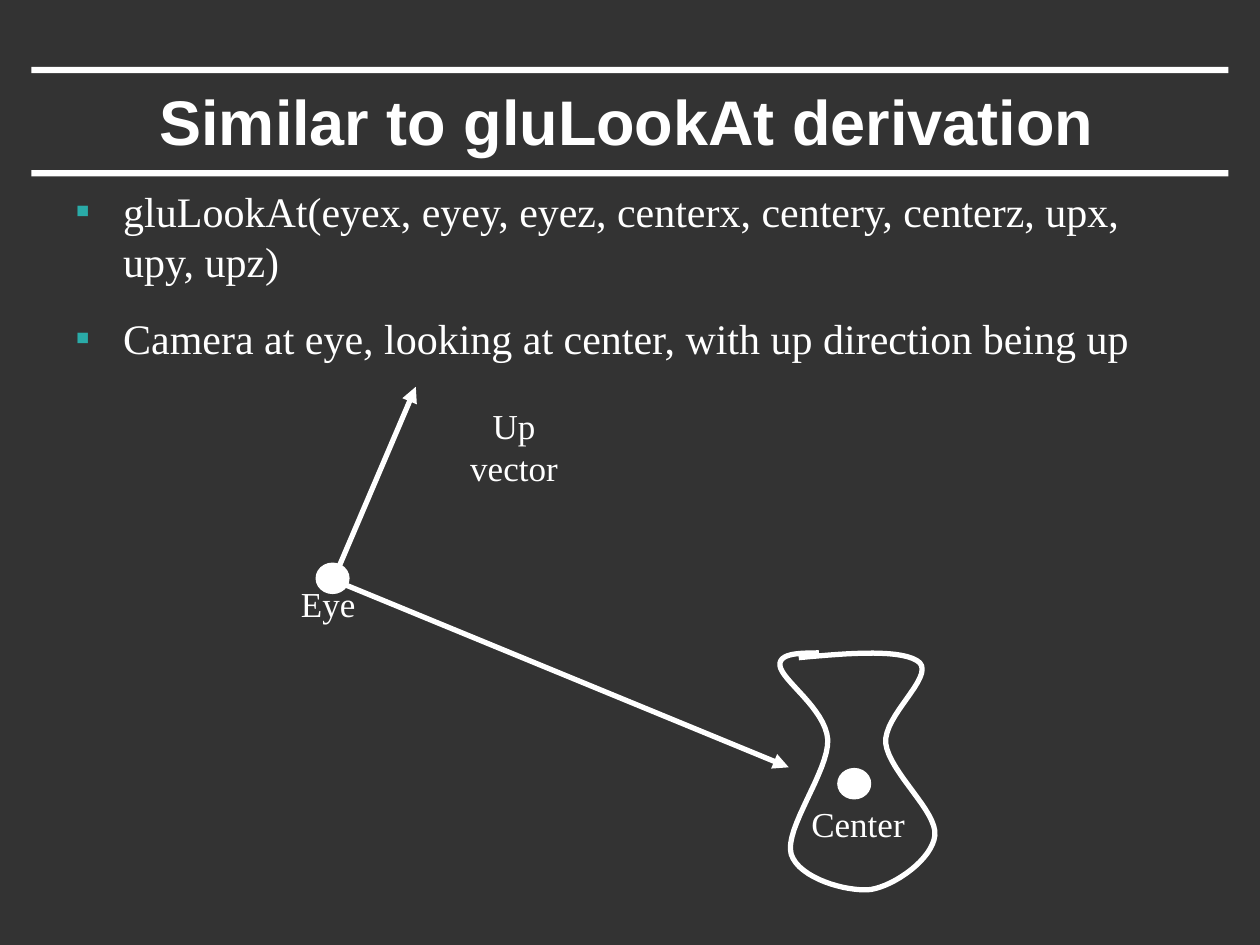
"""Builds the slide on the gluLookAt derivation with its camera diagram."""
from dataclasses import dataclass

from lxml import etree
from pptx import Presentation
from pptx.dml.color import RGBColor
from pptx.enum.shapes import MSO_CONNECTOR, MSO_SHAPE
from pptx.enum.text import MSO_ANCHOR, MSO_AUTO_SIZE, PP_ALIGN
from pptx.oxml.ns import qn
from pptx.util import Pt

PX = 9144
CURVE_STEPS = 16
RECTANGLE, OVAL = MSO_SHAPE.RECTANGLE, MSO_SHAPE.OVAL
STRAIGHT = MSO_CONNECTOR.STRAIGHT
MIDDLE, CENTER = MSO_ANCHOR.MIDDLE, PP_ALIGN.CENTER
NO_AUTOFIT, FIT_SHAPE = MSO_AUTO_SIZE.NONE, MSO_AUTO_SIZE.SHAPE_TO_FIT_TEXT


@dataclass(frozen=True)
class Theme:
    background: RGBColor = RGBColor(0x33, 0x33, 0x33)
    ink: RGBColor = RGBColor(0xFF, 0xFF, 0xFF)
    bullet: str = "2AABA8"
    heading_font: str = "Arial"
    body_font: str = "Times New Roman"
    title_size: int = 36
    body_size: int = 24
    label_size: int = 20
    line_width: int = 3
    dot_line_width: float = 0.75


theme = Theme()


def style_text(paragraph, name, size, bold=False):
    font = paragraph.font
    font.name, font.size, font.bold = name, Pt(size), bold
    font.color.rgb = theme.ink


def add_solid(shapes, kind, *box):
    shape = shapes.add_shape(kind, *(value * PX for value in box))
    shape.shadow.inherit = False
    shape.fill.solid()
    shape.fill.fore_color.rgb = theme.ink
    shape.line.fill.background()
    return shape


presentation = Presentation()
presentation.slide_width, presentation.slide_height = 1000 * PX, 750 * PX
slide = presentation.slides.add_slide(presentation.slide_layouts[5])
slide.background.fill.solid()
slide.background.fill.fore_color.rgb = theme.background

for top in (135, 53):
    add_solid(slide.shapes, RECTANGLE, 25, top, 950, 5)

title = slide.shapes.title
title.left, title.top, title.width, title.height = 74 * PX, 58 * PX, 847 * PX, 75 * PX
title.text_frame.text = "Similar to gluLookAt derivation"
title.text_frame.auto_size = NO_AUTOFIT
title.text_frame.vertical_anchor = MIDDLE
title_paragraph = title.text_frame.paragraphs[0]
title_paragraph.alignment = CENTER
style_text(title_paragraph, theme.heading_font, theme.title_size, bold=True)

body = slide.shapes.add_textbox(50 * PX, 142 * PX, 900 * PX, 647 * PX)
body.text_frame.word_wrap = True
body.text_frame.text = "\n".join([
    "gluLookAt(eyex, eyey, eyez, centerx, centery, centerz, upx, upy, upz)",
    "Camera at eye, looking at center, with up direction being up",
])
for index, paragraph in enumerate(body.text_frame.paragraphs):
    properties = paragraph._p.get_or_add_pPr()
    properties.set("marL", str(38 * PX))
    properties.set("indent", str(-38 * PX))
    bullet_color = etree.SubElement(properties, qn("a:buClr"))
    etree.SubElement(bullet_color, qn("a:srgbClr"), val=theme.bullet)
    etree.SubElement(properties, qn("a:buFont"), typeface=theme.body_font)
    etree.SubElement(properties, qn("a:buChar"), char="▪")
    paragraph.space_before = Pt(15 if index else 0)
    style_text(paragraph, theme.body_font, theme.body_size)

diagram = slide.shapes.add_group_shape().shapes

outline_start = (634, 522)
outline_curves = [
    ((676, 518), (718, 515), (730, 526)),
    ((741, 538), (701, 568), (703, 590)),
    ((706, 613), (744, 644), (742, 663)),
    ((740, 682), (710, 703), (691, 706)),
    ((672, 708), (634, 697), (628, 678)),
    ((622, 658), (658, 612), (657, 587)),
    ((655, 562), (620, 540), (619, 528)),
    ((618, 516), (645, 519), (650, 518)),
]
outline_points = []
curve_start = outline_start
for first_control, second_control, curve_end in outline_curves:
    for step in range(1, CURVE_STEPS + 1):
        t = step / CURVE_STEPS
        outline_points.append(tuple(
            PX * ((1 - t) ** 3 * a + 3 * (1 - t) ** 2 * t * b + 3 * (1 - t) * t ** 2 * c + t ** 3 * d)
            for a, b, c, d in zip(curve_start, first_control, second_control, curve_end)
        ))
    curve_start = curve_end
builder = diagram.build_freeform(*(value * PX for value in outline_start))
builder.add_line_segments(outline_points, close=False)
viewed_object = builder.convert_to_shape()
viewed_object.shadow.inherit = False
viewed_object.fill.background()
viewed_object.line.color.rgb = theme.ink
viewed_object.line.width = Pt(theme.line_width)

for ends in ((264, 460, 626, 609), (266, 457, 330, 307)):
    arrow = diagram.add_connector(STRAIGHT, *(value * PX for value in ends))
    arrow.line.color.rgb = theme.ink
    arrow.line.width = Pt(theme.line_width)
    etree.SubElement(arrow.line._get_or_add_ln(), qn("a:tailEnd"), type="triangle")
    etree.SubElement(arrow._element.spPr, qn("a:effectLst"))

for text, left, top, width in (
    ("Eye", 229, 457, 63),
    ("Up vector", 343, 316, 130),
    ("Center", 634, 632, 94),
):
    label = diagram.add_textbox(left * PX, top * PX, width * PX, 44 * PX)
    label.text_frame.text = text
    label.text_frame.word_wrap = False
    label.text_frame.auto_size = FIT_SHAPE
    label_paragraph = label.text_frame.paragraphs[0]
    label_paragraph.alignment = CENTER
    style_text(label_paragraph, theme.body_font, theme.label_size)

for left, top in ((665, 610), (251, 447)):
    dot = add_solid(diagram, OVAL, left, top, 26, 24)
    dot.line.color.rgb = theme.ink
    dot.line.width = Pt(theme.dot_line_width)

presentation.save("out.pptx")
